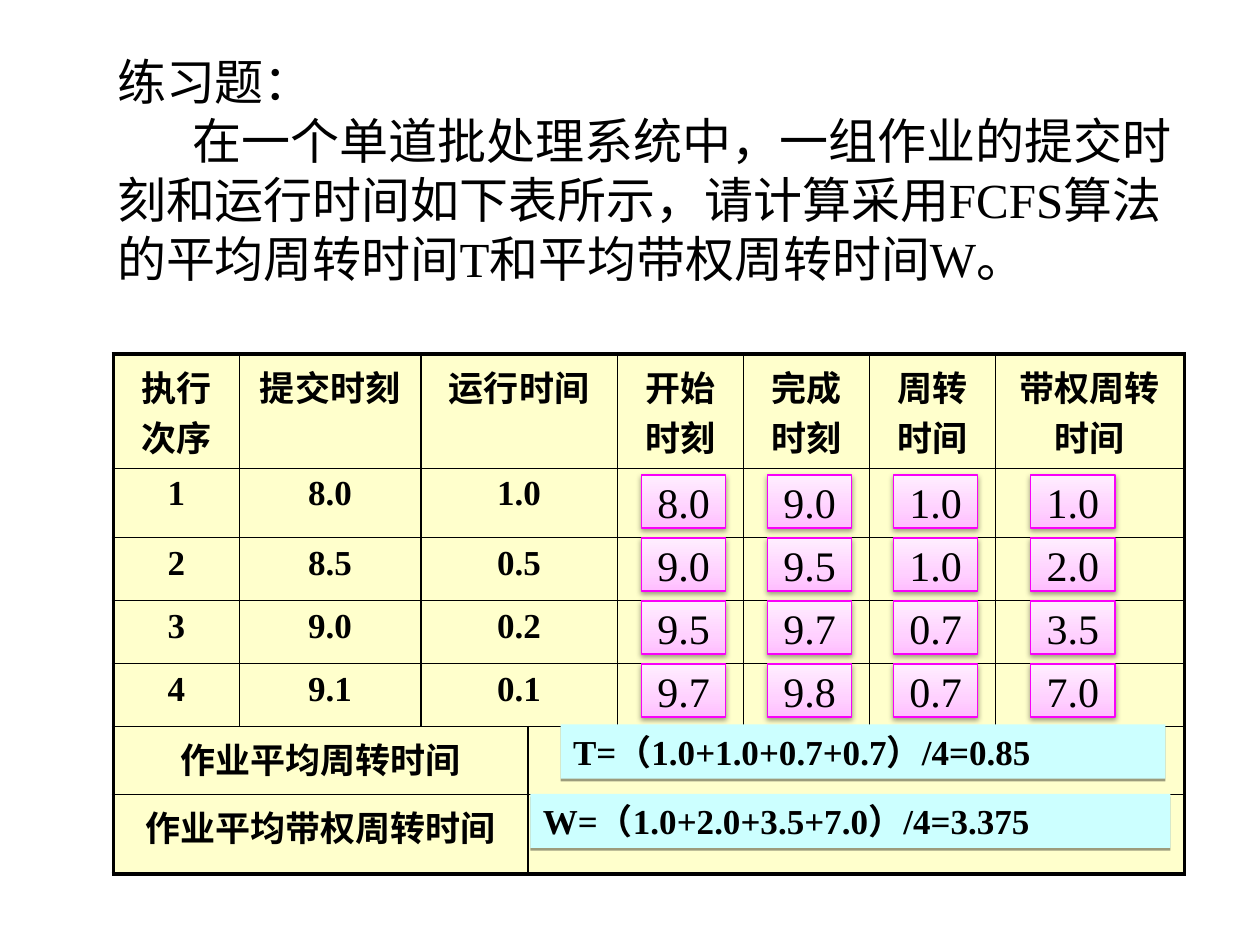
from dataclasses import dataclass
from lxml import etree
from pptx import Presentation
from pptx import util as u
from pptx.dml.color import RGBColor
from pptx.enum import shapes, text
from pptx.oxml import ns

Inches, Pt = u.Inches, u.Pt

TITLE = ["练习题：",
         "在一个单道批处理系统中，一组作业的提交时刻和运行时间如下表所示，"
         "请计算采用FCFS算法的平均周转时间T和平均带权周转时间W。"]
HEADERS = ["执行次序", "提交时刻", "运行时间", None,
           "开始时刻", "完成时刻", "周转时间", "带权周转时间"]
JOBS = [("1", "8.0", "1.0"), ("2", "8.5", "0.5"),
        ("3", "9.0", "0.2"), ("4", "9.1", "0.1")]
AVERAGES = ["作业平均周转时间", "作业平均带权周转时间"]
ANSWERS = [("8.0", "9.0", "1.0", "1.0"), ("9.0", "9.5", "1.0", "2.0"),
           ("9.5", "9.7", "0.7", "3.5"), ("9.7", "9.8", "0.7", "7.0")]
FORMULAS = [("T=（1.0+1.0+0.7+0.7）/4=0.85", 4.45, 5.75, 4.8, True),
            ("W=（1.0+2.0+3.5+7.0）/4=3.375", 4.21, 6.3, 5.08, False)]

COL_WIDTHS = [1, 1.44, 0.85, 0.71, 1, 1, 1, 1.5]
ROW_HEIGHTS = [0.88, 0.55, 0.5, 0.5, 0.5, 0.54, 0.63]
ANSWER_LEFTS = [5.09, 6.09, 7.09, 8.18]
ANSWER_TOP, ANSWER_STEP = 3.77, 0.5


@dataclass(frozen=True)
class Theme:
    """Colours, font and type sizes of the slide."""
    font: str = "Times New Roman"
    ink: str = "000000"
    cell: str = "FFFFCC"
    formula: str = "CCFFFF"
    answer_line: str = "F900F9"
    answer_stops: tuple = ((0, "FFBDFF"), (35, "FFD1FF"), (100, "FFEEFF"))
    title_size: int = 28
    answer_size: int = 24
    table_size: int = 20
    outer: float = 2.25
    inner: float = 1


T = Theme()


def add_node(parent, tag, **attrs):
    """Append a DrawingML element and return it."""
    return etree.SubElement(parent, ns.qn(tag), {k: str(v) for k, v in attrs.items()})


def style(p, size, bold=False, align=text.PP_ALIGN.LEFT):
    """Format a paragraph and its runs."""
    p.alignment = align
    for r in p.runs:
        r.font.name, r.font.size, r.font.bold = T.font, Pt(size), bold
        r.font.color.rgb = RGBColor.from_string(T.ink)


def add_shadow(s, blur):
    """Give a shape a soft shadow falling straight down."""
    s.shadow.inherit = False
    effects = s._element.spPr.find(ns.qn("a:effectLst"))
    shadow = add_node(effects, "a:outerShdw", blurRad=Pt(blur), dist=Pt(1.6),
                      dir=5400000, rotWithShape=0)
    add_node(add_node(shadow, "a:srgbClr", val=T.ink), "a:alpha", val=38000)


def add_title(slide):
    """Fill the title placeholder with the exercise."""
    s = slide.shapes.title
    s.left, s.top, s.width, s.height = map(Inches, (0.83, 0.44, 8.58, 1.89))
    tf = s.text_frame
    tf.text = "\n".join(TITLE)
    tf.word_wrap, tf.auto_size = True, text.MSO_AUTO_SIZE.NONE
    tf.vertical_anchor = text.MSO_ANCHOR.BOTTOM
    for p in tf.paragraphs:
        style(p, T.title_size)
    tf.paragraphs[1]._p.get_or_add_pPr().set("indent", str(Inches(0.6)))


def add_borders(cell, row, col, last_col):
    """Draw thick lines on the table's rim and thin ones inside."""
    rims = {"a:lnL": col == 0, "a:lnR": last_col == len(COL_WIDTHS) - 1,
            "a:lnT": row == 0, "a:lnB": row == len(ROW_HEIGHTS) - 1}
    tcPr = cell._tc.get_or_add_tcPr()
    for tag, rim in rims.items():
        ln = add_node(tcPr, tag, w=Pt(T.outer if rim else T.inner))
        add_node(add_node(ln, "a:solidFill"), "a:srgbClr", val=T.ink)


def add_job_table(slide):
    """Build the table of jobs with its merged cells."""
    rows = [HEADERS] + [[*job] + [None] * 5 for job in JOBS]
    rows += [[label] + [None] * 7 for label in AVERAGES]
    frame = slide.shapes.add_table(len(rows), len(COL_WIDTHS), Inches(0.9), Inches(2.81),
                                   Inches(sum(COL_WIDTHS)), Inches(sum(ROW_HEIGHTS)))
    table = frame.table
    for column, width in zip(table.columns, COL_WIDTHS):
        column.width = Inches(width)
    for row, height in zip(table.rows, ROW_HEIGHTS):
        row.height = Inches(height)
    for i, values in enumerate(rows):
        spans = [(2, 3)] if i <= len(JOBS) else [(0, 2), (3, 7)]
        for first, last in spans:
            table.cell(i, first).merge(table.cell(i, last))
        for j, value in enumerate(values):
            cell = table.cell(i, j)
            add_borders(cell, i, j, dict(spans).get(j, j))
            cell.fill.solid()
            cell.fill.fore_color.rgb = RGBColor.from_string(T.cell)
            if value:
                cell.text_frame.text = value
                p = cell.text_frame.paragraphs[0]
                p.space_before = Pt(T.table_size * 0.2)
                style(p, T.table_size, True, text.PP_ALIGN.CENTER)


def add_answer(slide, value, left, top):
    """Add one pink answer box."""
    s = slide.shapes.add_shape(shapes.MSO_SHAPE.RECTANGLE, Inches(left), Inches(top),
                               Inches(0.67), Inches(0.42))
    s.fill.gradient()
    s.fill.gradient_angle = 90
    stops = s._element.spPr.find(ns.qn("a:gradFill")).find(ns.qn("a:gsLst"))
    for old in list(stops):
        stops.remove(old)
    for position, colour in T.answer_stops:
        add_node(add_node(stops, "a:gs", pos=position * 1000), "a:srgbClr", val=colour)
    s.line.color.rgb = RGBColor.from_string(T.answer_line)
    s.line.width = Pt(0.75)
    add_shadow(s, 3.1)
    tf = s.text_frame
    tf.text = value
    tf.word_wrap, tf.vertical_anchor = False, text.MSO_ANCHOR.MIDDLE
    style(tf.paragraphs[0], T.answer_size, align=text.PP_ALIGN.CENTER)


def add_formula(slide, formula, left, top, width, wrap):
    """Add one blue strip with a worked average."""
    s = slide.shapes.add_shape(shapes.MSO_SHAPE.RECTANGLE, Inches(left), Inches(top),
                               Inches(width), Inches(0.43))
    s.fill.solid()
    s.fill.fore_color.rgb = RGBColor.from_string(T.formula)
    s.line.fill.background()
    add_shadow(s, 0)
    tf = s.text_frame
    tf.text = formula
    tf.word_wrap, tf.auto_size = wrap, text.MSO_AUTO_SIZE.SHAPE_TO_FIT_TEXT
    tf.vertical_anchor = text.MSO_ANCHOR.TOP
    style(tf.paragraphs[0], T.table_size, True)


prs = Presentation()
prs.slide_width, prs.slide_height = Inches(10), Inches(7.5)
slide = prs.slides.add_slide(prs.slide_layouts[5])
add_title(slide)
add_job_table(slide)
for i, answers in enumerate(ANSWERS):
    for value, left in zip(answers, ANSWER_LEFTS):
        add_answer(slide, value, left, ANSWER_TOP + i * ANSWER_STEP)
for formula in FORMULAS:
    add_formula(slide, *formula)
prs.save("out.pptx")
